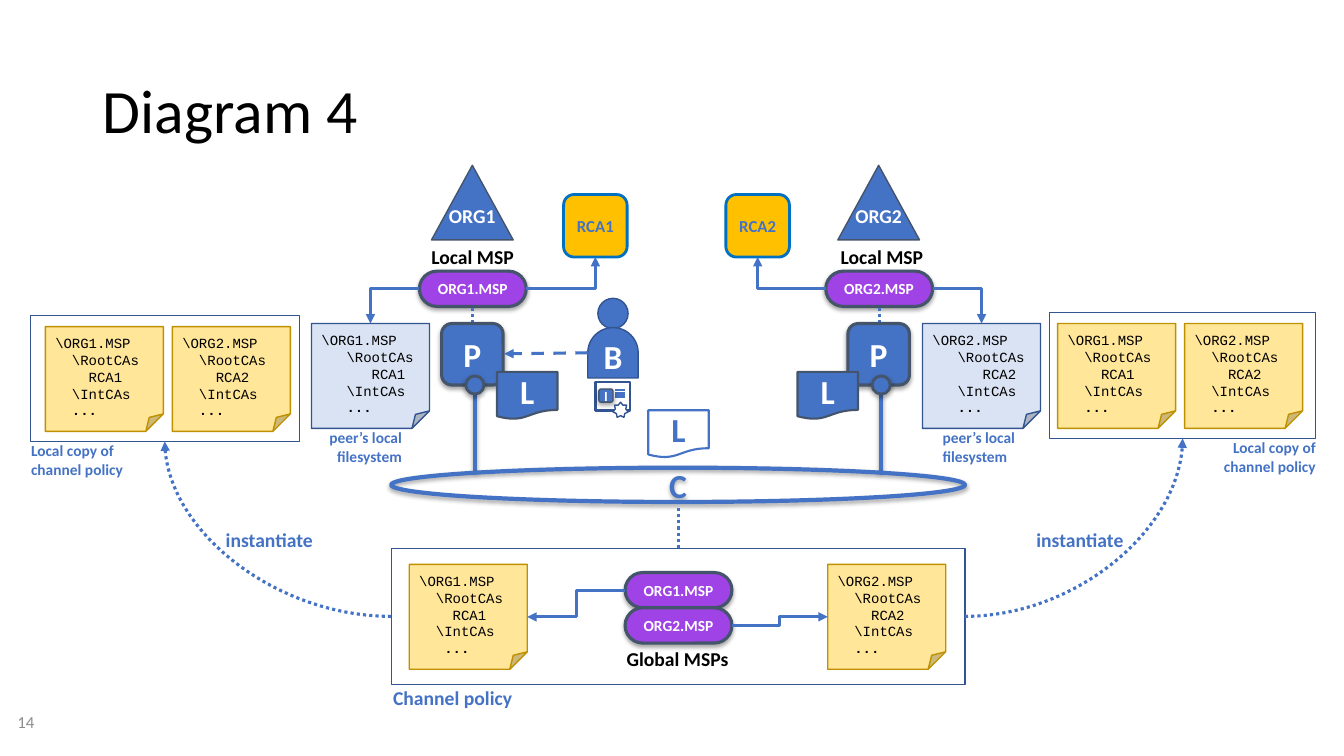
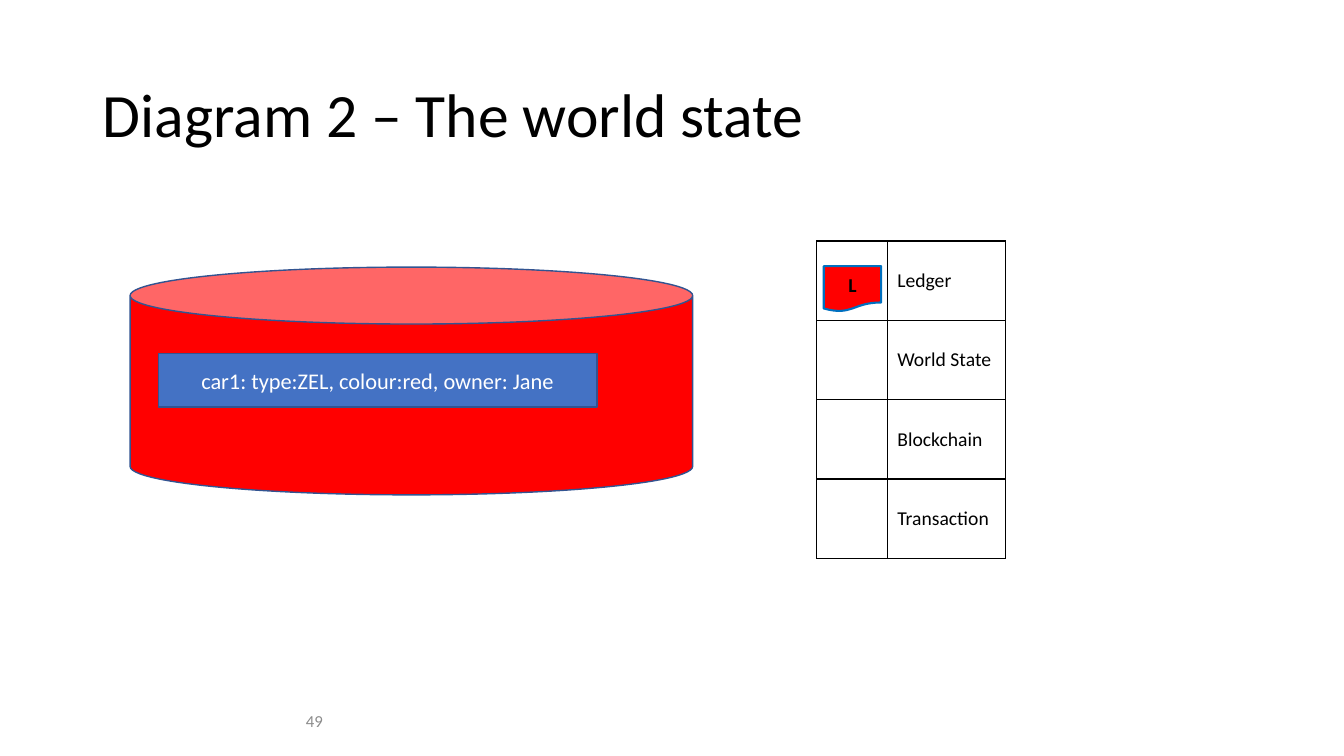
import copy
import lxml.etree
import pptx
import pptx.dml.color
import pptx.enum.dml
import pptx.enum.shapes
import pptx.enum.text
import pptx.oxml
import pptx.oxml.ns
import pptx.util

hues = {"blue": "4472C4", "navy": "325491", "slate": "44546A", "violet": "9F42E6",
        "gold": "BF9000", "cream": "FFE699", "pale": "DAE3F3", "amber": "FFC000",
        "ocean": "0070C0", "red": "FF0000", "grey": "8C8C8C",
        "black": "000000", "white": "FFFFFF"}
hue = {name: pptx.dml.color.RGBColor.from_string(code) for name, code in hues.items()}
kinds = pptx.enum.shapes.MSO_SHAPE
dash = pptx.enum.dml.MSO_LINE
align = {"l": pptx.enum.text.PP_ALIGN.LEFT, "c": pptx.enum.text.PP_ALIGN.CENTER,
         "r": pptx.enum.text.PP_ALIGN.RIGHT}
middle = pptx.enum.text.MSO_ANCHOR.MIDDLE
top = pptx.enum.text.MSO_ANCHOR.TOP
qn = pptx.oxml.ns.qn
glow = pptx.oxml.parse_xml(
    f'<a:outerShdw {pptx.oxml.ns.nsdecls("a")} blurRad="40000" dist="23000" dir="5400000" '
    'rotWithShape="0"><a:srgbClr val="000000"><a:alpha val="35000"/></a:srgbClr></a:outerShdw>')

deck = pptx.Presentation()
deck.slide_width = pptx.util.Inches(13.33)
deck.slide_height = pptx.util.Inches(7.5)
rows = 75
cell = deck.slide_height // rows


def put(kind, x, y, w, h, text="", size=11, ink="white", fill=None, edge=None, thick=1,
        bold=True, face="Calibri", side="c", anchor=middle, wrap=True, inset=(0, 0, 0, 0),
        shade=False):
    box = [int(v * cell) for v in (x, y, w, h)]
    if kind is None:
        shape = page.shapes.add_textbox(*box)
        inset = (1, 0.5, 1, 0.5)
    else:
        shape = page.shapes.add_shape(kind, *box)
        shape.shadow.inherit = False
        if fill:
            shape.fill.solid()
            shape.fill.fore_color.rgb = hue[fill]
        else:
            shape.fill.background()
        shape.line.color.rgb = hue[edge]
        shape.line.width = pptx.util.Pt(thick)
        if shade:
            shape._element.spPr.find(qn("a:effectLst")).append(copy.deepcopy(glow))
    if text:
        frame = shape.text_frame
        frame.word_wrap = wrap
        frame.vertical_anchor = anchor
        (frame.margin_left, frame.margin_top,
         frame.margin_right, frame.margin_bottom) = [int(v * cell) for v in inset]
        for i, line in enumerate(text.split("\n")):
            para = frame.add_paragraph() if i else frame.paragraphs[0]
            para.text = line
            para.alignment = align[side]
            para.font.name = face
            para.font.size = pptx.util.Pt(size)
            para.font.bold = bold or line.strip() == "..."
            para.font.color.rgb = hue[ink]
    return shape


def wire(preset, ends=(0, 0, 0, 0), join=None, thick=2.25, style=None, tip=False, shade=False):
    line = page.shapes.add_connector(pptx.enum.shapes.MSO_CONNECTOR.STRAIGHT,
                                     *[int(v * cell) for v in ends])
    if join:
        line.begin_connect(*join[:2])
        line.end_connect(*join[2:])
    prop = line._element.spPr
    prop.find(qn("a:prstGeom")).set("prst", preset)
    line.line.color.rgb = hue["blue"]
    line.line.width = pptx.util.Pt(thick)
    if style:
        line.line.dash_style = style
    if tip:
        lxml.etree.SubElement(prop.find(qn("a:ln")), qn("a:tailEnd")).set("type", "triangle")
    effect = lxml.etree.SubElement(prop, qn("a:effectLst"))
    if shade:
        effect.append(copy.deepcopy(glow))


pages = []
for name, y, number, x, w, base in (("Diagram 4", 4, "14", 0.3, 4.1, 69.6),
                                    ("Diagram 2 – The world state", 4.4, "49", 3, 30, 69.5)):
    page = deck.slides.add_slide(deck.slide_layouts[5])
    pages.append(page)
    title = page.shapes.title
    title.left, title.top, title.width, title.height = [
        int(v * cell) for v in (9.2, y, 115, 14.5)]
    title.text_frame.text = name
    title.text_frame.vertical_anchor = middle
    para = title.text_frame.paragraphs[0]
    para.alignment = align["l"]
    para.line_spacing = 0.9
    para.font.name = "Calibri"
    para.font.size = pptx.util.Pt(44)
    para.font.color.rgb = hue["black"]
    put(None, x, base, w, 4, number, 12, "grey", bold=False, side="r")

page = pages[0]
tree = "\\ORG{0}.MSP\n{1}\\RootCAs\n{1}{1}RCA{0}\n{1}\\IntCAs\n{1}..."
sheet = dict(size=10, ink="black", bold=False, face="Courier New", side="l",
             anchor=top, inset=(1, 0.8, 0, 0))
note = dict(sheet, fill="cream", edge="gold")
pill = dict(fill="violet", edge="slate", thick=2.25, shade=True)
tag = dict(size=14, ink="blue", side="l", anchor=top, wrap=False)
small = dict(ink="blue", anchor=top)

hub = put(kinds.RECTANGLE, 38.8, 54.4, 56.9, 13.5, edge="navy")
put(None, 38, 67.6, 25, 3.4, "Channel policy", **tag)

sides = (
    dict(n=1, rca=55.9, peer=30.9, doc=49.3, hint=31.1, near="r", far="l", box=(3, 31.3, 26.7),
         pair=4.5, copy=2.1, verb=21.4, shared=40.6, out=1, into=3),
    dict(n=2, rca=72, peer=91.5, doc=79.1, hint=92.5, near="l", far="r", box=(104.1, 31, 26.4),
         pair=104.9, copy=117.5, verb=101.8, shared=82.1, out=3, into=1))
for i, s in enumerate(sides):
    n, out, into = s["n"], s["out"], s["into"]
    dx = 40.3 * i
    put(kinds.ISOSCELES_TRIANGLE, 42.8 + dx, 16.4, 8.1, 7.4, f"ORG{n}", 14,
        fill="blue", edge="slate", wrap=False, inset=(0, 0, 0, 1.1))
    put(None, 41.8 + 40.6 * i, 23.8, 10.3, 3.4, "Local MSP", **dict(tag, ink="black"))
    msp = put(kinds.ROUNDED_RECTANGLE, 41.6 + dx, 26.9, 10.6, 3.5, f"ORG{n}.MSP", **pill)
    root = put(kinds.ROUNDED_RECTANGLE, s["rca"], 19.3, 6.3, 6.2, f"RCA{n}", 12, "blue",
               "amber", "ocean", 2)
    peer = put(kinds.FOLDED_CORNER, s["peer"], 32.1, 11.7, 10.4, tree.format(n, "   "),
               **dict(sheet, fill="pale", edge="navy"))
    wire("bentConnector2", join=(msp, out, peer, 0), tip=True)
    wire("bentConnector2", join=(msp, into, root, 2), tip=True)
    wire("line", (46.9 + dx, 32.1, 46.9 + dx, 30.4), style=dash.ROUND_DOT)
    put(kinds.ROUNDED_RECTANGLE, 43.8 + dx, 32.1, 6.1, 6.1, "P", 24, fill="blue",
        edge="slate", thick=2.25, shade=True)
    wire("line", (47.1 + dx, 39.1, 47.1 + dx, 46.8), thick=3, shade=True)
    put(kinds.OVAL, 46.2 + dx, 37.3, 1.8, 1.8, fill="blue", edge="slate", thick=2, shade=True)
    put(kinds.FLOWCHART_DOCUMENT, s["doc"], 36.9, 6, 4.7, "L", 24, fill="blue",
        edge="slate", thick=1.5)
    put(None, s["hint"], 42, 9.75, 4.7, "peer’s local\nfilesystem", side=s["near"], **small)

    x, y, w = s["box"]
    local = put(kinds.RECTANGLE, x, y, w, 12.5, edge="navy")
    for k in range(2):
        put(kinds.FOLDED_CORNER, s["pair"] + 12.6 * k, y + 1.1, 11.7, 10.4,
            tree.format(k + 1, "  "), **note)
    put(None, s["copy"], y + 12, 14, 4.7, "Local copy of channel policy", side=s["far"], **small)
    wire("curvedConnector2", join=(hub, out, local, 2), style=dash.ROUND_DOT, tip=True)
    put(None, s["verb"], 51.9, 10.8, 3.4, "instantiate", **tag)

    text = tree.format(n, "  ")
    if n == 1:
        text = text.replace("  ...", "   ...")
    shared = put(kinds.FOLDED_CORNER, s["shared"], 56, 11.7, 10.4, text, **note)
    world = put(kinds.ROUNDED_RECTANGLE, 62, 56.8 + 3.5 * i, 10.6, 3.5, f"ORG{n}.MSP", **pill)
    for shape in (msp, world):
        shape.adjustments[0] = 0.5
    wire("bentConnector3", join=(world, out, shared, into), tip=True)

put(None, 61.1, 63.7, 12.2, 3.4, "Global MSPs", **dict(tag, ink="black", side="c"))
put(kinds.OVAL, 38.8, 46.4, 56.9, 3.4, "C", 24, "blue", edge="blue", thick=3,
    wrap=False, shade=True)
wire("line", (67.3, 54.4, 67.3, 49.7), style=dash.ROUND_DOT)
put(kinds.FLOWCHART_DOCUMENT, 64.3, 40.7, 6, 4.7, "L", 24, "blue", edge="blue", thick=1.5)

put(kinds.RECTANGLE, 59.1, 37.9, 3.4, 2.8, edge="navy", thick=2)
for k in range(3):
    wire("line", (61, 38.7 + 0.3 * k, 62, 38.7 + 0.3 * k), thick=2)
put(kinds.ROUNDED_RECTANGLE, 59.4, 38.6, 1.4, 1.3, "I", 10, fill="blue", edge="slate",
    shade=True)
put(kinds.STAR_7_POINT, 60.8, 39.9, 1.5, 1.5, fill="white", edge="navy")
put(kinds.OVAL, 59.3, 29.6, 3, 3, fill="blue", edge="navy")
body = put(kinds.ROUND_2_SAME_RECTANGLE, 58.3, 32.5, 5, 5, "B", 24, fill="blue", edge="navy")
body.adjustments[0] = 0.5
wire("line", (58.3, 35, 50, 35.1), style=dash.DASH, tip=True)

page = pages[1]
names = ("Ledger", "World State", "Blockchain", "Transaction")
table = page.shapes.add_table(len(names), 2, *[
    int(v * cell) for v in (81, 23.9, 18.7, 31.5)]).table
table.first_row = table.horz_banding = False
for col, w in zip(table.columns, (7, 11.7)):
    col.width = int(w * cell)
for r, name in enumerate(names):
    for c, text in enumerate(("", name)):
        slot = table.cell(r, c)
        slot.vertical_anchor = middle
        prop = slot._tc.get_or_add_tcPr()
        for edge in "LRTB":
            line = lxml.etree.SubElement(prop, qn(f"a:ln{edge}"), w="12700")
            paint = lxml.etree.SubElement(line, qn("a:solidFill"))
            lxml.etree.SubElement(paint, qn("a:srgbClr"), val=hues["black"])
        slot.fill.background()
        slot.text = text
        font = slot.text_frame.paragraphs[0].font
        font.name = "Calibri"
        font.size = pptx.util.Pt(14)
        font.color.rgb = hue["black"]

put(kinds.FLOWCHART_DOCUMENT, 81.7, 26.4, 5.7, 4.5, "L", 14, "black", "red", "ocean", 1.5)
put(kinds.CAN, 12.9, 26.5, 55.8, 22.6, fill="red", edge="navy")
put(kinds.RECTANGLE, 15.7, 35.1, 43.5, 5.3, "car1: type:ZEL, colour:red, owner: Jane", 16,
    fill="blue", edge="navy", bold=False)

deck.save("out.pptx")
